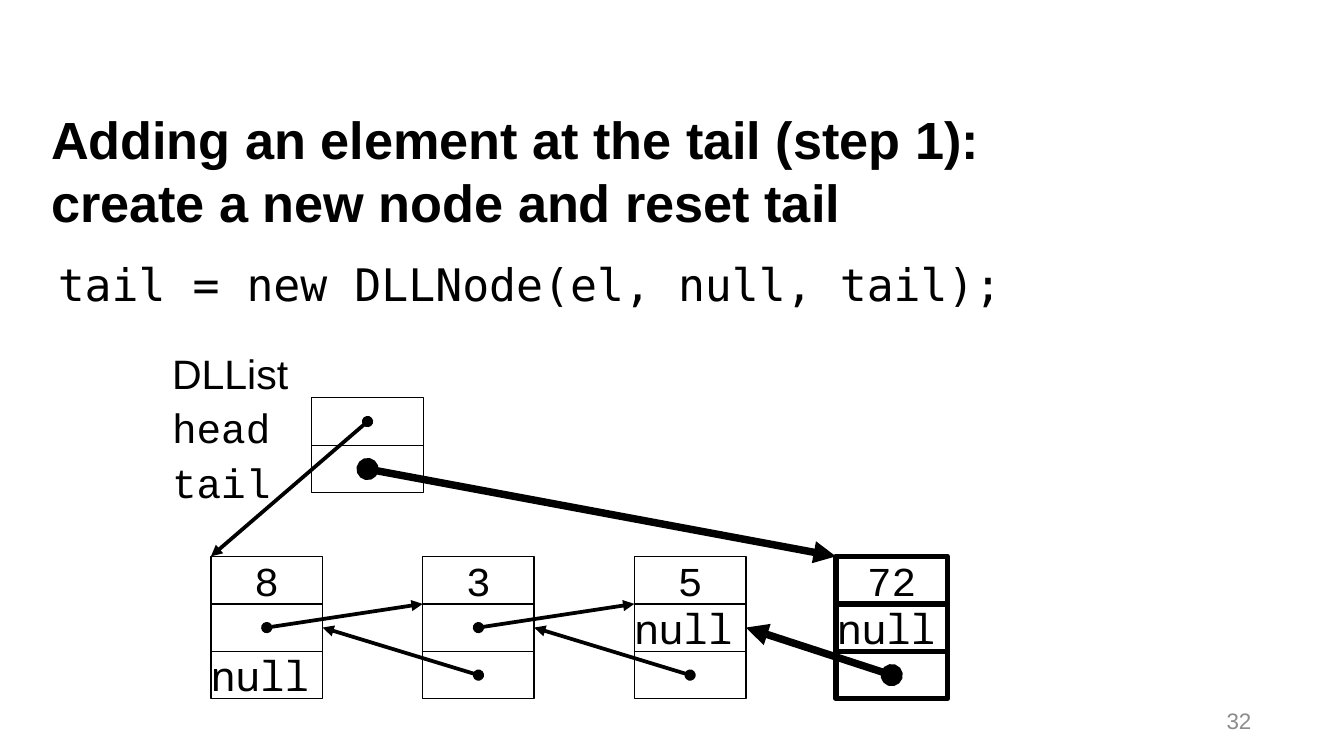
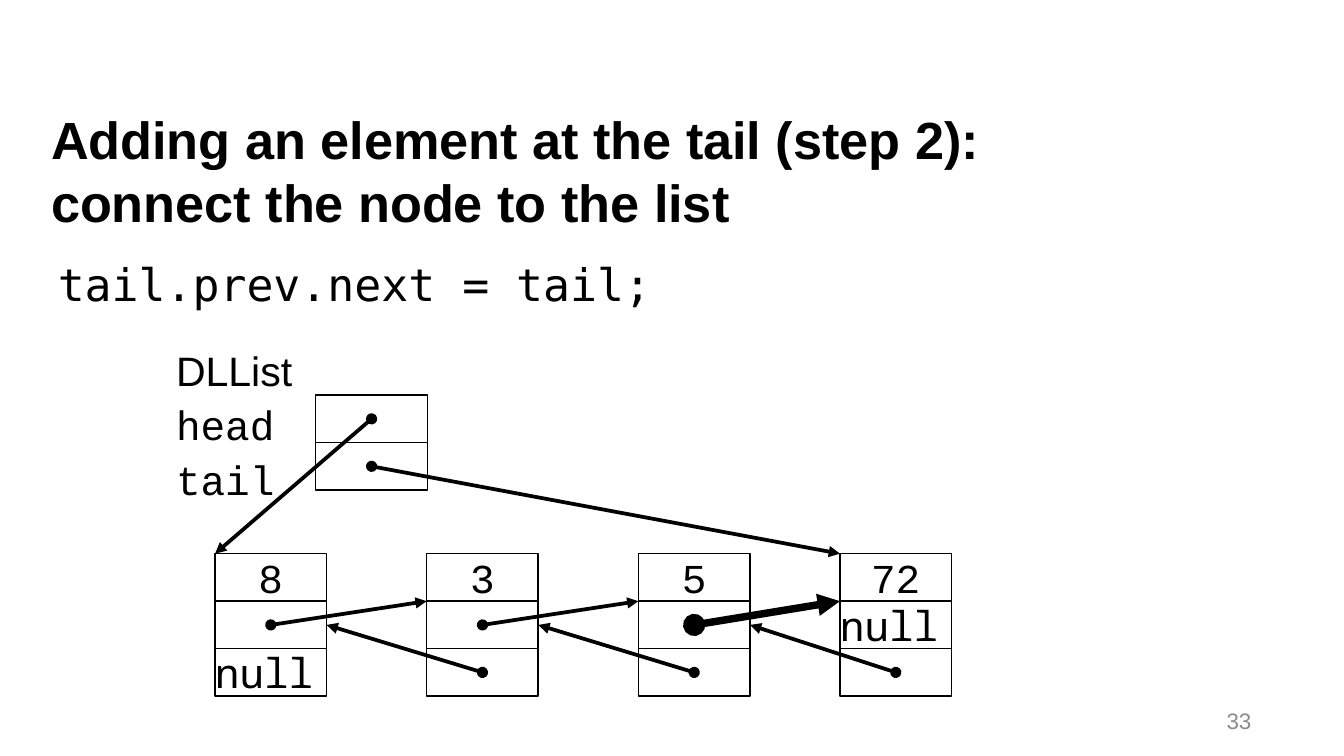
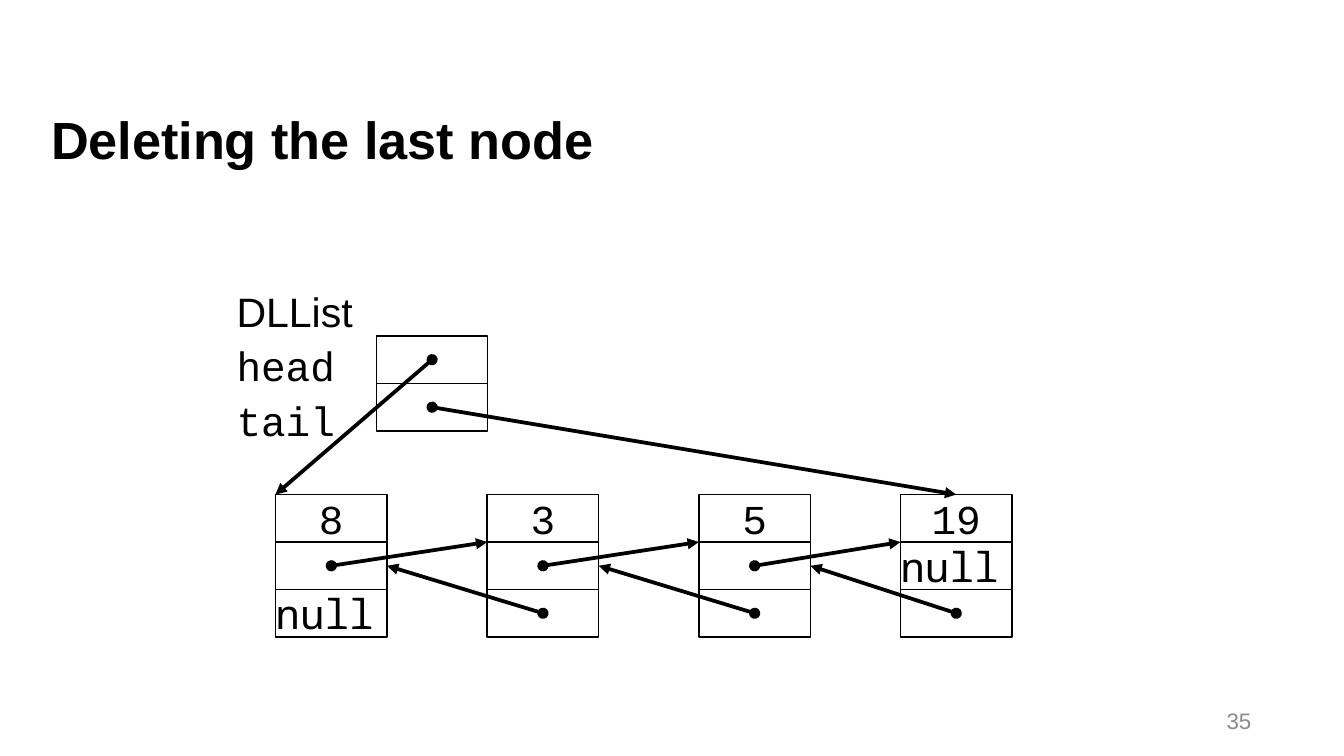
from dataclasses import dataclass

from lxml import etree
from pptx import Presentation
from pptx.dml.color import RGBColor
from pptx.enum.shapes import MSO_CONNECTOR, MSO_SHAPE
from pptx.enum.text import MSO_ANCHOR, MSO_AUTO_SIZE, PP_ALIGN
from pptx.oxml.ns import qn
from pptx.util import Inches, Pt

STRAIGHT = MSO_CONNECTOR.STRAIGHT
RECTANGLE = MSO_SHAPE.RECTANGLE
TOP, MIDDLE = MSO_ANCHOR.TOP, MSO_ANCHOR.MIDDLE
LEFT, CENTER, RIGHT = PP_ALIGN.LEFT, PP_ALIGN.CENTER, PP_ALIGN.RIGHT
TOP_SIDE, RIGHT_SIDE = 0, 3
TITLE_AND_CONTENT, TITLE_ONLY = 1, 5

COLORS = {"ink": "000000", "number": "8C8C8C"}

# Offsets of the diagram parts from the top left corner of its first node
NODE_OFFSETS = (0, 3.15 / 2, 3.15, 4.65)
LIST_OFFSET = (0.75, -1.18)
LABEL_OFFSET = (-0.29, -1.55)
CELL_WIDTH = 0.83
CELL_HEIGHT = 1.06 / 3

HAIRLINE, NEW_NODE_LINE = 0, 2.83
THIN_LINK, HEAVY_LINK = 2, 4


@dataclass(frozen=True)
class TextStyle:
    font: str
    size: float
    color: str = "ink"
    bold: bool = False
    align: PP_ALIGN = LEFT
    before: float = 0


TITLE = TextStyle("Arial", 28, bold=True)
CODE = TextStyle("DejaVu Sans Mono", 24)
NUMBER = TextStyle("Arial", 12, color="number", align=RIGHT)
VALUE = TextStyle("Courier New", 22, align=CENTER, before=2.8)
NULL = TextStyle("Noto Sans Mono", 22, before=2.8)
LIST_NAME = TextStyle("Arial", 22, before=2.8)
FIELD_NAME = TextStyle("Courier New", 22, before=2.8)


@dataclass(frozen=True)
class ListSlide:
    number: int
    title: str
    code: str
    left: float
    top: float
    last_value: str
    last_linked: bool = True
    new_node: bool = False
    tail_to_middle: bool = False
    heavy_links: tuple[str, ...] = ()


SLIDES = (
    ListSlide(32, "Adding an element at the tail (step 1):\ncreate a new node and reset tail",
              "tail = new DLLNode(el, null, tail);", 1.57, 4.14, "72",
              last_linked=False, new_node=True, heavy_links=("tail", "last prev")),
    ListSlide(33, "Adding an element at the tail (step 2):\nconnect the node to the list",
              "tail.prev.next = tail;", 1.6, 4.12, "72", heavy_links=("last next",)),
    ListSlide(35, "Deleting the last node", "", 2.05, 3.68, "19", tail_to_middle=True),
)


def set_frame(box, anchor, margin=0.0, top_margin=None, wrap=True) -> None:
    side = Inches(margin)
    settings = {
        "word_wrap": wrap, "auto_size": MSO_AUTO_SIZE.NONE, "vertical_anchor": anchor,
        "margin_left": side, "margin_right": side, "margin_bottom": side,
        "margin_top": side if top_margin is None else Inches(top_margin),
    }
    for name, value in settings.items():
        setattr(box.text_frame, name, value)


def write(para, text: str, style: TextStyle) -> None:
    para.text = text
    layout = {"alignment": style.align, "space_before": Pt(style.before)}
    for name, value in layout.items():
        setattr(para, name, value)
    for span in para.runs:
        for name, value in {"name": style.font, "size": Pt(style.size),
                            "bold": style.bold}.items():
            setattr(span.font, name, value)
        span.font.color.rgb = RGBColor.from_string(COLORS[style.color])


def place(box, left: float, top: float, width: float, height: float) -> None:
    for name, value in {"left": left, "top": top, "width": width, "height": height}.items():
        setattr(box, name, Inches(value))


def remove_bullet(para) -> None:
    properties = para._p.get_or_add_pPr()
    properties.set("marL", "0")
    properties.set("indent", "0")
    etree.SubElement(properties, qn("a:buNone"))


def add_cell(page, left: float, top: float, text: str = "", line: float = HAIRLINE):
    cell = page.shapes.add_shape(RECTANGLE, Inches(left), Inches(top),
                                 Inches(CELL_WIDTH), Inches(CELL_HEIGHT))
    cell.shadow.inherit = False
    cell.fill.background()
    cell.line.color.rgb = RGBColor.from_string(COLORS["ink"])
    cell.line.width = Pt(line)
    set_frame(cell, MIDDLE, 0.02 if line else 0, wrap=False)
    if text:
        write(cell.text_frame.paragraphs[0], text, NULL if text == "null" else VALUE)
    return cell


def add_stack(page, left: float, top: float, texts, line: float = HAIRLINE) -> list:
    """Draw cells one below the other, one for each text."""
    return [add_cell(page, left, top + row * CELL_HEIGHT, text, line)
            for row, text in enumerate(texts)]


def add_link(page, source, target, heavy: bool, side: int | None = None) -> None:
    """Run an arrow from a cell's centre to a side of the target, or to its top left corner."""
    link = page.shapes.add_connector(
        STRAIGHT, source.left + source.width // 2, source.top + source.height // 2,
        target.left, target.top)
    if side is not None:
        link.end_connect(target, side)
    link.line.color.rgb = RGBColor.from_string(COLORS["ink"])
    link.line.width = Pt(HEAVY_LINK if heavy else THIN_LINK)
    outline = link.line._get_or_add_ln()
    etree.SubElement(outline, qn("a:headEnd"), type="oval")
    etree.SubElement(outline, qn("a:tailEnd"), type="triangle")
    etree.SubElement(link._element.spPr, qn("a:effectLst"))


def add_labels(page, left: float, top: float) -> None:
    box = page.shapes.add_textbox(Inches(left), Inches(top), Inches(1.08), Inches(1.11))
    set_frame(box, TOP)
    frame = box.text_frame
    write(frame.paragraphs[0], "DLList", LIST_NAME)
    for name in ("head", "tail"):
        write(frame.add_paragraph(), name, FIELD_NAME)


def add_diagram(page, slide: ListSlide) -> None:
    add_labels(page, slide.left + LABEL_OFFSET[0], slide.top + LABEL_OFFSET[1])
    head, tail = add_stack(page, slide.left + LIST_OFFSET[0],
                           slide.top + LIST_OFFSET[1], ("", ""))
    contents = (
        ("8", "", "null"),
        ("3", "", ""),
        ("5", "" if slide.last_linked else "null", ""),
        (slide.last_value, "" if slide.new_node else "null", ""),
    )
    last = len(contents) - 1
    nodes = [
        add_stack(page, slide.left + offset, slide.top, texts,
                  NEW_NODE_LINE if slide.new_node and index == last else HAIRLINE)
        for index, (offset, texts) in enumerate(zip(NODE_OFFSETS, contents))
    ]
    add_link(page, head, nodes[0][0], False)
    add_link(page, tail, nodes[last][0], "tail" in slide.heavy_links,
             TOP_SIDE if slide.tail_to_middle else None)
    for index in range(1, last + 1):
        _, before_next, _ = nodes[index - 1]
        _, after_next, after_prev = nodes[index]
        is_last = index == last
        if slide.last_linked or not is_last:
            add_link(page, before_next, after_next,
                     is_last and "last next" in slide.heavy_links)
        add_link(page, after_prev, before_next,
                 is_last and "last prev" in slide.heavy_links, RIGHT_SIDE)
    if slide.new_node:
        add_cell(page, slide.left + NODE_OFFSETS[last] + 0.01,
                 slide.top + CELL_HEIGHT, "null")


def add_page(deck, slide: ListSlide) -> None:
    layout = TITLE_AND_CONTENT if slide.code else TITLE_ONLY
    page = deck.slides.add_slide(deck.slide_layouts[layout])

    title = page.shapes.title
    place(title, 0.38, 0.8, 9.21, 0.71)
    set_frame(title, TOP)
    write(title.text_frame.paragraphs[0], slide.title, TITLE)

    if slide.code:
        body = page.placeholders[1]
        place(body, 0.43, 1.51, 9.21, 3.6)
        set_frame(body, TOP, top_margin=0.4)
        para = body.text_frame.paragraphs[0]
        write(para, slide.code, CODE)
        remove_bullet(para)

    number = page.shapes.add_textbox(Inches(7.16), Inches(5.21), Inches(2.25), Inches(0.3))
    set_frame(number, MIDDLE, 0.1)
    write(number.text_frame.paragraphs[0], str(slide.number), NUMBER)

    add_diagram(page, slide)


def main() -> None:
    deck = Presentation()
    deck.slide_width = Inches(10)
    deck.slide_height = deck.slide_width * 9 // 16
    for slide in SLIDES:
        add_page(deck, slide)
    deck.save("out.pptx")


if __name__ == "__main__":
    main()
